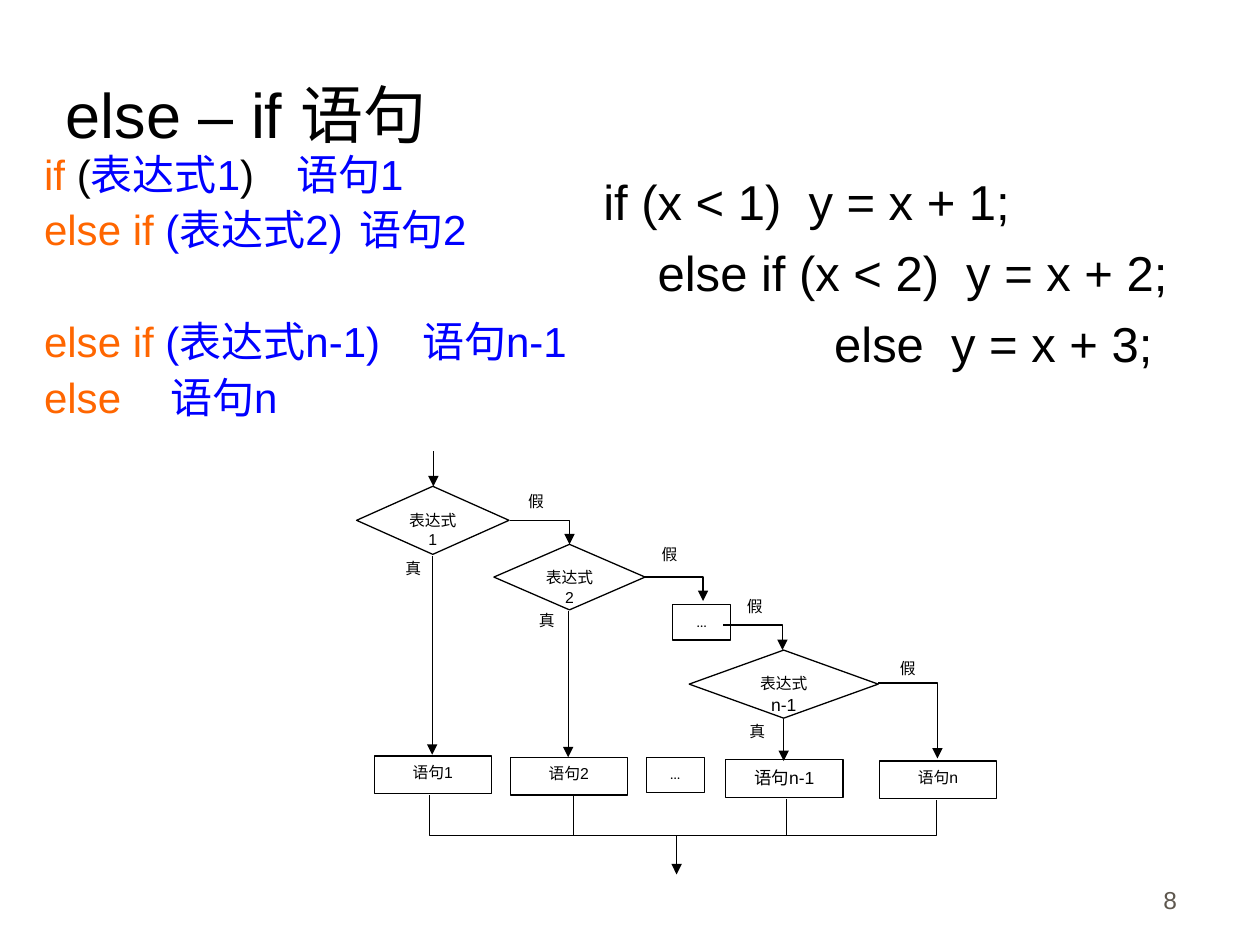
from lxml.etree import SubElement
from pptx import Presentation
from pptx.dml.color import RGBColor
from pptx.enum.shapes import MSO_CONNECTOR, MSO_SHAPE
from pptx.enum.text import MSO_ANCHOR, MSO_AUTO_SIZE, PP_ALIGN
from pptx.oxml.ns import qn
from pptx.util import Inches, Pt

COLS, ROWS = 100, 75
BLACK, BLUE, ORANGE, GREY = "000000", "0000FF", "FF6600", "5E574E"


def color(text):
    return RGBColor.from_string(text)


class Board:
    """Draws styled elements on one slide, placed in columns and rows."""

    def __init__(self, deck):
        self.slide = deck.slides.add_slide(deck.slide_layouts[1])
        self.shapes = self.slide.shapes
        self.col = deck.slide_width / COLS
        self.row = deck.slide_height / ROWS

    def spot(self, x, y):
        return round(x * self.col), round(y * self.row)

    def place(self, shape, box):
        shape.left, shape.top = self.spot(*box[:2])
        shape.width, shape.height = self.spot(*box[2:])

    def frame(self, shape, anchor=MSO_ANCHOR.TOP):
        frame = shape.text_frame
        frame.word_wrap = True
        frame.auto_size = MSO_AUTO_SIZE.NONE
        frame.vertical_anchor = anchor
        return frame

    def style(self, para, size, ink=None, font="Arial", align=PP_ALIGN.LEFT):
        para.alignment = align
        para.font.size, para.font.name = Pt(size), font
        if ink:
            para.font.color.rgb = color(ink)

    def title(self, text, box, size):
        shape = self.shapes.title
        self.place(shape, box)
        para = self.frame(shape, MSO_ANCHOR.BOTTOM).paragraphs[0]
        para.text = text
        self.style(para, size, BLACK)

    def body(self, lines, box, size):
        shape = self.slide.placeholders[1]
        self.place(shape, box)
        frame = self.frame(shape)
        for i, (gap, stop, runs) in enumerate(lines):
            para = frame.add_paragraph() if i else frame.paragraphs[0]
            para.line_spacing, para.space_before = 0.9, Pt(gap)
            props = para._p.get_or_add_pPr()
            props.set("marL", "0")
            props.set("indent", "0")
            SubElement(props, qn("a:buNone"))
            tabs = SubElement(props, qn("a:tabLst"))
            SubElement(tabs, qn("a:tab"), pos=str(Inches(stop)), algn="l")
            self.style(para, size)
            for text, ink in runs:
                run = para.add_run()
                run.text = text
                run.font.color.rgb = color(ink)

    def text(self, lines, box, size, ink=BLACK, align=PP_ALIGN.LEFT,
             anchor=MSO_ANCHOR.TOP, gap=0, space=1.0):
        shape = self.shapes.add_textbox(0, 0, 0, 0)
        self.place(shape, box)
        frame = self.frame(shape, anchor)
        for i, line in enumerate(lines):
            para = frame.add_paragraph() if i else frame.paragraphs[0]
            para.text = line
            para.line_spacing = space
            para.space_before = Pt(gap if i else 0)
            self.style(para, size, ink, align=align)

    def label(self, text, box):
        self.text([text], box, 9, align=PP_ALIGN.CENTER, space=1.04)

    def pen(self, shape, tip):
        shape.line.color.rgb = color(BLACK)
        shape.line.width = Pt(0.75)
        if tip:
            SubElement(shape.line._get_or_add_ln(), qn("a:tailEnd"),
                       type="triangle")

    def node(self, kind, runs, box, font="Arial"):
        shape = self.shapes.add_shape(kind, 0, 0, 0, 0)
        self.place(shape, box)
        shape.shadow.inherit = False
        shape.fill.background()
        self.pen(shape, False)
        para = self.frame(shape).paragraphs[0]
        para.line_spacing = 1.04
        self.style(para, runs[0][1], BLACK, font, PP_ALIGN.CENTER)
        for text, size in runs:
            run = para.add_run()
            run.text = text
            if size != runs[0][1]:
                run.font.size = Pt(size)

    def line(self, x, top, low, tip=True):
        link = self.shapes.add_connector(
            MSO_CONNECTOR.STRAIGHT, *self.spot(x, top), *self.spot(x, low))
        self.pen(link, tip)
        SubElement(link._element.spPr, qn("a:effectLst"))

    def route(self, points, tip=True):
        start, *rest = [self.spot(*point) for point in points]
        build = self.shapes.build_freeform(*start)
        build.add_line_segments(rest, close=False)
        shape = build.convert_to_shape()
        shape.shadow.inherit = False
        shape.fill.background()
        self.pen(shape, tip)


def main():
    deck = Presentation()
    deck.slide_width, deck.slide_height = Inches(10), Inches(7.5)
    board = Board(deck)
    board.title("else – if 语句", (4.2, 2.5, 85, 10), 36)
    board.body([
        (0, 2.28, [("if ", ORANGE), ("(", BLACK), ("表达式1", BLUE),
                   (")\t", BLACK), ("语句1", BLUE)]),
        (6, 2.98, [("else if", ORANGE), (" (表达式2)\t语句2", BLUE)]),
        (38, 3.28, [("else if", ORANGE), (" (表达式n-1)\t语句n-1", BLUE)]),
        (6, 0.88, [("else\t", ORANGE), ("语句n", BLUE)]),
    ], (2.5, 11.7, 56.7, 26.7), 24)
    board.text([
        "if (x < 1)  y = x + 1;",
        "    else if (x < 2)  y = x + 2;",
        "                 else  y = x + 3;",
    ], (46.9, 13.1, 53.1, 19.4), 28, align=PP_ALIGN.JUSTIFY, gap=7)

    for runs, box in [
        ([("表达式1", 9)], (28.3, 38.6, 12.1, 5.4)),
        ([("表达式2", 9)], (39.2, 43.2, 12, 5.2)),
        ([("表达式", 9), ("n-1", 10)], (54.7, 51.6, 15, 5.4)),
    ]:
        board.node(MSO_SHAPE.FLOWCHART_DECISION, runs, box)
    for text, size, x, y in [
        ("语句1", 9, 29.7, 60), ("语句2", 9, 40.5, 60.1),
        ("语句n-1", 10, 57.6, 60.3), ("语句n", 9, 69.8, 60.4),
    ]:
        board.node(MSO_SHAPE.FLOWCHART_PROCESS, [(text, size)],
                   (x, y, 9.3, 3))
    for x, y in [(53.4, 48), (51.3, 60.1)]:
        board.node(MSO_SHAPE.RECTANGLE, [("…", 9)], (x, y, 4.6, 2.8),
                   "Montserrat")

    for x, y, low in [(40.5, 41.3, 43.2), (51.1, 45.8, 47.7),
                      (57.4, 49.6, 51.6), (69.7, 54.2, 60.2)]:
        board.route([(x, y), (x + 4.7, y), (x + 4.7, low)])
    board.route([(34.1, 63.1), (34.1, 66.3), (74.3, 66.3), (74.3, 63.5)],
                False)
    for x, top, low in [(34.4, 35.8, 38.6), (34.3, 44.1, 59.9),
                        (45.1, 48.5, 60.1), (62.2, 57.1, 60.4),
                        (53.7, 66.3, 69.4)]:
        board.line(x, top, low)
    for x, top in [(45.5, 63.1), (62.4, 63.4)]:
        board.line(x, top, 66.3, False)

    for x, y, wide in [(40.9, 38.5, 3.3), (51.5, 42.7, 3.3),
                       (55.5, 46.8, 8.8), (69, 51.7, 6.1)]:
        board.label("假", (x, y, wide, 2.8))
    for x, y in [(30.3, 43.8), (40.9, 47.9), (57.6, 56.7)]:
        board.label("真", (x, y, 5, 2.8))
    board.text(["8"], (73.6, 68.1, 20.8, 5), 14, GREY, PP_ALIGN.RIGHT,
               MSO_ANCHOR.BOTTOM)
    deck.save("out.pptx")


if __name__ == "__main__":
    main()
